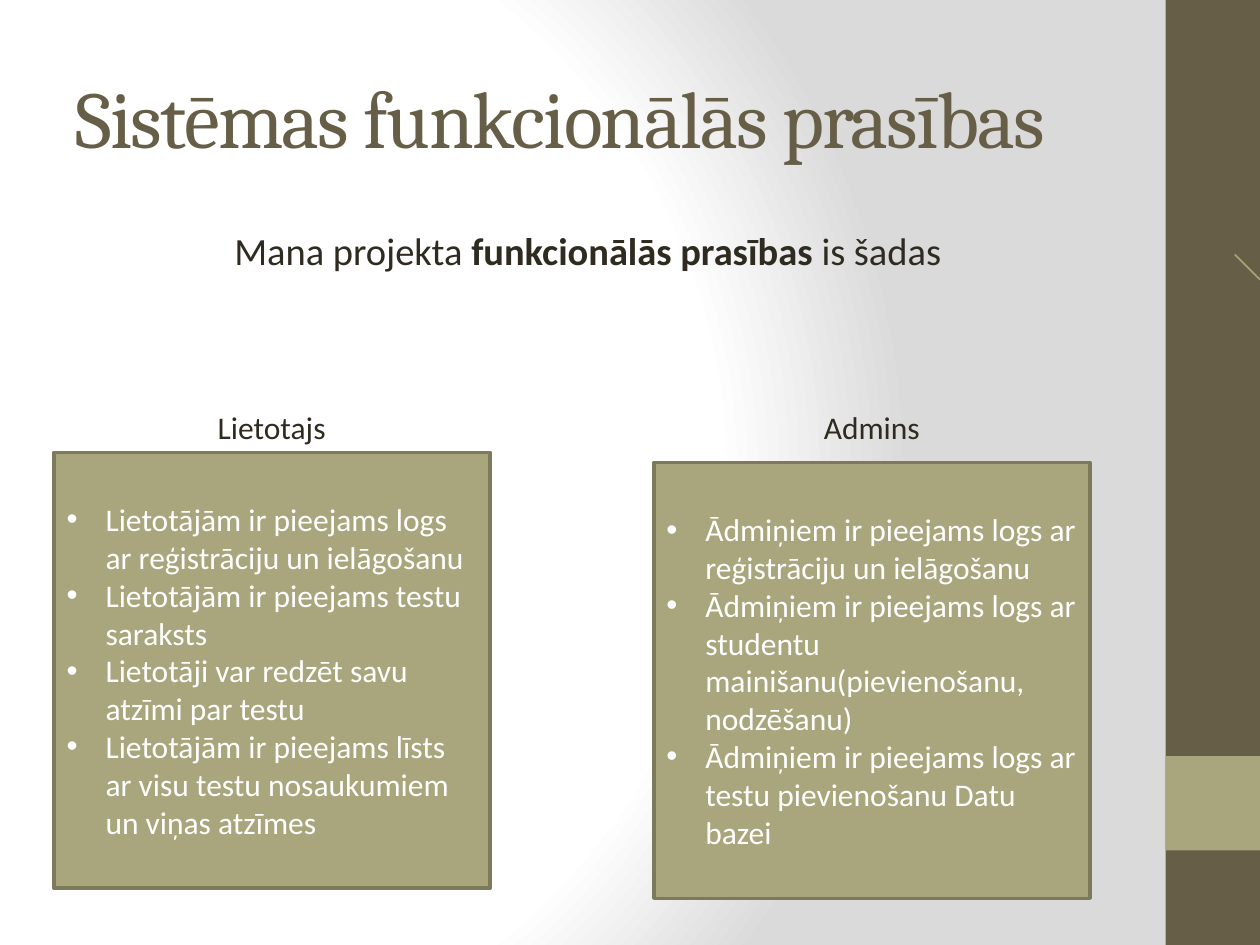
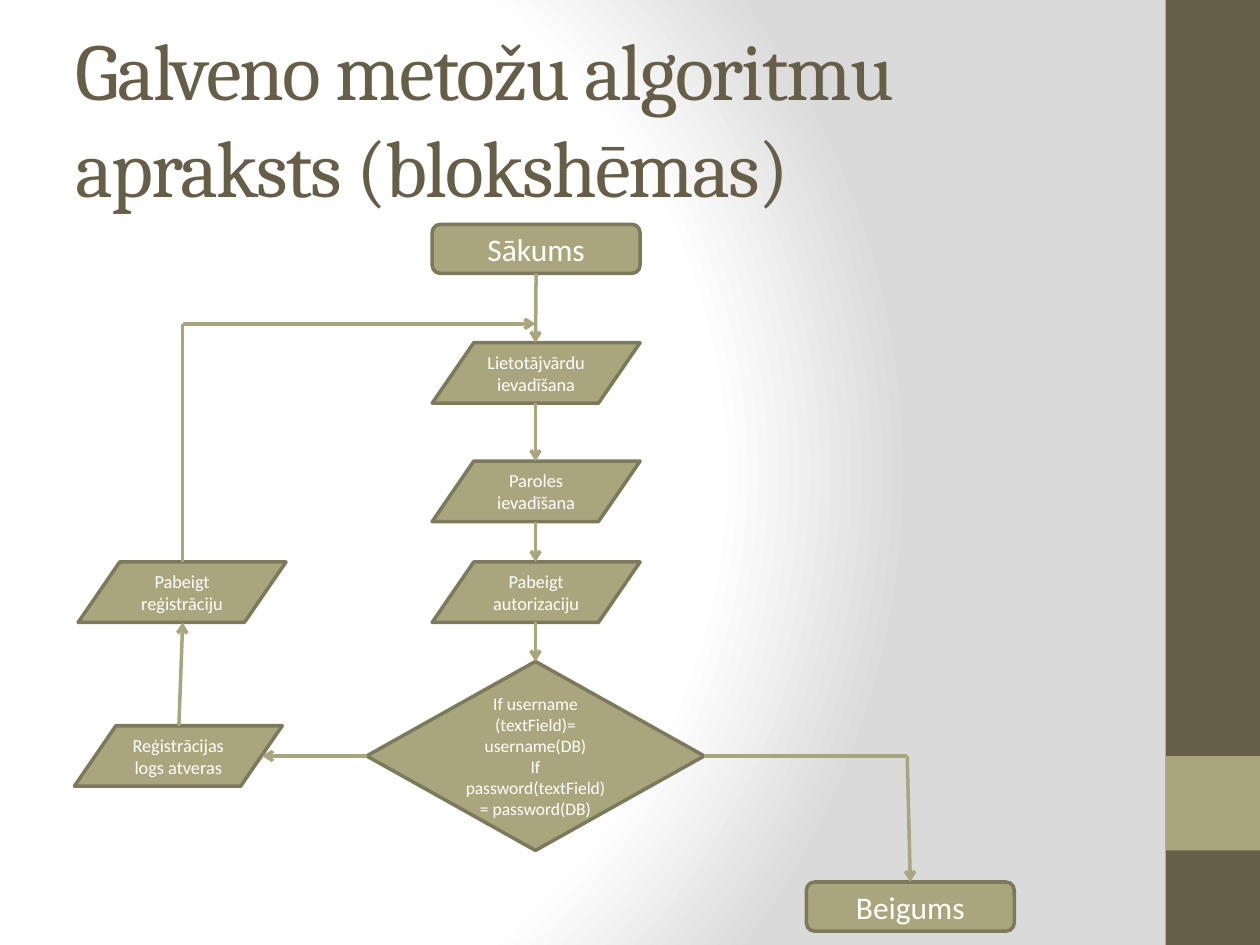
"""Builds two slides on functional requirements and the login flowchart."""
from dataclasses import dataclass

from lxml import etree
from pptx import Presentation
from pptx.dml.color import RGBColor
from pptx.enum.shapes import MSO_CONNECTOR, MSO_SHAPE
from pptx.enum.text import MSO_ANCHOR, MSO_AUTO_SIZE, PP_ALIGN
from pptx.oxml.ns import qn
from pptx.util import Inches, Pt

RECT = MSO_SHAPE.RECTANGLE
TERMINAL = MSO_SHAPE.ROUNDED_RECTANGLE
DATA = MSO_SHAPE.FLOWCHART_DATA
DECISION = MSO_SHAPE.FLOWCHART_DECISION
STRAIGHT = MSO_CONNECTOR.STRAIGHT
LEFT, CENTER = PP_ALIGN.LEFT, PP_ALIGN.CENTER
TOP, MIDDLE = MSO_ANCHOR.TOP, MSO_ANCHOR.MIDDLE
SIDE_TOP, SIDE_LEFT, SIDE_BOTTOM, SIDE_RIGHT = range(4)


@dataclass(frozen=True)
class Theme:
    heading_font: str = "Cambria"
    body_font: str = "Calibri"
    brown: str = "675E47"
    olive: str = "A9A57C"
    outline: str = "7D7A5C"
    ray: str = "A6A278"
    ink: str = "2F2B20"
    white: str = "FFFFFF"
    gray: str = "DADADA"
    title_size: float = 46
    lead_size: float = 22
    text_size: float = 18
    step_size: float = 10.5
    check_size: float = 10


THEME = Theme()


def rgb(color):
    return RGBColor.from_string(color)


def write(frame, paragraphs, size=THEME.text_size, color=THEME.white,
          font=THEME.body_font, align=LEFT, anchor=MIDDLE, wrap=True,
          bullet=None, tracking=None, before=0):
    frame.word_wrap = wrap
    frame.auto_size = MSO_AUTO_SIZE.NONE
    frame.vertical_anchor = anchor
    for index, content in enumerate(paragraphs):
        paragraph = frame.add_paragraph() if index else frame.paragraphs[0]
        paragraph.alignment = align
        paragraph.space_before = Pt(before)
        if bullet:
            props = paragraph._p.get_or_add_pPr()
            props.set("marL", str(Inches(0.31)))
            props.set("indent", str(-Inches(0.31)))
            etree.SubElement(props, qn("a:buFont")).set("typeface", "Arial")
            etree.SubElement(props, qn("a:buChar")).set("char", bullet)
        for text, bold in [(content, False)] if isinstance(content, str) else content:
            run = paragraph.add_run()
            run.text = text
            run.font.name = font
            run.font.size = Pt(size)
            run.font.bold = bold
            run.font.color.rgb = rgb(color)
            if tracking:
                run._r.get_or_add_rPr().set("spc", str(tracking * 100))


class Deck:
    def __init__(self, theme):
        self.theme = theme
        self.slide = None
        self.prs = Presentation()
        self.prs.slide_width = Inches(10)
        self.prs.slide_height = Inches(7.5)
        self.background()

    def background(self):
        fill = self.prs.slide_master.background.fill
        fill.gradient()
        gradient = self.prs.slide_master._element.find(".//" + qn("a:gradFill"))
        for child in list(gradient):
            gradient.remove(child)
        stops = etree.SubElement(gradient, qn("a:gsLst"))
        for place, color in ((0, self.theme.white), (75, self.theme.white),
                             (100, self.theme.gray)):
            stop = etree.SubElement(stops, qn("a:gs"), pos=str(place * 1000))
            etree.SubElement(stop, qn("a:srgbClr"), val=color)
        circle = etree.SubElement(gradient, qn("a:path"))
        circle.set("path", "circle")
        etree.SubElement(circle, qn("a:fillToRect"),
                         l="20000", t="50000", r="100000", b="50000")

    def new_slide(self, title):
        self.slide = self.prs.slides.add_slide(self.prs.slide_layouts[5])
        heading = self.slide.shapes.title
        heading.left, heading.top = Inches(0.5), Inches(0.3)
        heading.width, heading.height = Inches(8.33), Inches(1.25)
        write(heading.text_frame, [title], size=self.theme.title_size,
              color=self.theme.brown, font=self.theme.heading_font, tracking=-1)
        self.block(RECT, 9.25, 0, 0.75, 7.5, fill=self.theme.brown, line=None)
        self.block(RECT, 9.25, 6, 0.75, 0.75, line=None)

    def block(self, kind, x, y, w, h, paragraphs=(), fill=THEME.olive,
              line=THEME.outline, **style):
        shape = self.slide.shapes.add_shape(
            kind, Inches(x), Inches(y), Inches(w), Inches(h))
        shape.shadow.inherit = False
        shape.fill.solid()
        shape.fill.fore_color.rgb = rgb(fill)
        if line:
            shape.line.color.rgb = rgb(line)
            shape.line.width = Pt(2)
        else:
            shape.line.fill.background()
        write(shape.text_frame, paragraphs, **style)
        return shape

    def label(self, x, y, w, h, paragraphs, **style):
        box = self.slide.shapes.add_textbox(
            Inches(x), Inches(y), Inches(w), Inches(h))
        write(box.text_frame, paragraphs, color=self.theme.ink, anchor=TOP, **style)

    def link(self, start, end, begin=None, finish=None, arrow=True,
             color=THEME.olive, width=2):
        line = self.slide.shapes.add_connector(
            STRAIGHT, *(Inches(value) for value in (*start, *end)))
        if begin:
            line.begin_connect(*begin)
        if finish:
            line.end_connect(*finish)
        line.line.color.rgb = rgb(color)
        line.line.width = Pt(width)
        if arrow:
            etree.SubElement(line.line._get_or_add_ln(), qn("a:tailEnd"), type="arrow")
        etree.SubElement(line._element.spPr, qn("a:effectLst"))


def requirements(deck):
    deck.new_slide("Sistēmas funkcionālās prasības")
    deck.label(0.5, 1.75, 8.33, 5.25, [[
        ("Mana projekta ", False), ("funkcionālās prasības ", True),
        ("is šadas", False)]], size=THEME.lead_size, align=CENTER, before=4.4)
    deck.link((9.8, 2.02), (10, 2.22), arrow=False, color=THEME.ray, width=1)
    roles = (
        ("Lietotajs", 1.63, 1.07, 0.43, 3.59, (
            "Lietotājām ir pieejams logs ar reģistrāciju un ielāgošanu",
            "Lietotājām ir pieejams testu saraksts",
            "Lietotāji var redzēt savu atzīmi par testu",
            "Lietotājām ir pieejams līsts ar visu testu nosaukumiem un viņas atzīmes")),
        ("Admins", 6.44, 0.97, 5.19, 3.67, (
            "Ādmiņiem ir pieejams logs ar reģistrāciju un ielāgošanu",
            "Ādmiņiem ir pieejams logs ar studentu mainišanu(pievienošanu, nodzēšanu)",
            "Ādmiņiem ir pieejams logs ar testu pievienošanu Datu bazei")),
    )
    for role, label_x, label_w, x, y, rights in roles:
        deck.block(RECT, x, y, 3.46, 3.46, rights, bullet="•")
        deck.label(label_x, 3.19, label_w, 0.4, [role], wrap=False)


def flowchart(deck):
    deck.new_slide("Galveno metožu algoritmu apraksts (blokshēmas)")
    step_w, step_h, main_x, axis, back_axis = 1.65, 0.48, 3.43, 4.25, 1.45

    def terminal(x, y, text):
        return deck.block(TERMINAL, x, y, step_w, 0.39, [text], align=CENTER)

    def step(x, y, text):
        deck.block(DATA, x, y, step_w, step_h, [text],
                   size=THEME.step_size, align=CENTER)

    start = terminal(main_x, 1.78, "Sākums")
    finish = terminal(6.4, 7, "Beigums")
    check = deck.block(DECISION, 2.91, 5.25, 2.68, 1.5, [
        "If username (textField)= username(DB)",
        "If password(textField)= password(DB)"],
        size=THEME.check_size, align=CENTER)

    steps = ((2.72, "Lietotājvārdu ievadīšana"), (3.66, "Paroles ievadīšana"),
             (4.46, "Pabeigt autorizaciju"))
    bottom, begin = 2.17, (start, SIDE_BOTTOM)
    for y, text in steps:
        step(main_x, y, text)
        deck.link((axis, bottom), (axis, y), begin=begin)
        bottom, begin = y + step_h, None
    deck.link((axis, bottom), (axis, 5.25), finish=(check, SIDE_TOP))

    step(0.59, 5.76, "Reģistrācijas logs atveras")
    step(0.62, 4.46, "Pabeigt reģistrāciju")
    deck.link((2.91, 6), (2.08, 6), begin=(check, SIDE_LEFT))
    deck.link((1.42, 5.76), (back_axis, 4.46 + step_h))
    deck.link((back_axis, 4.46), (back_axis, 2.57), arrow=False)
    deck.link((back_axis, 2.57), (axis, 2.57))

    deck.link((5.59, 6), (7.2, 6), begin=(check, SIDE_RIGHT), arrow=False)
    deck.link((7.2, 6), (7.22, 7), finish=(finish, SIDE_TOP))


def main():
    deck = Deck(THEME)
    requirements(deck)
    flowchart(deck)
    deck.prs.save("out.pptx")


if __name__ == "__main__":
    main()
